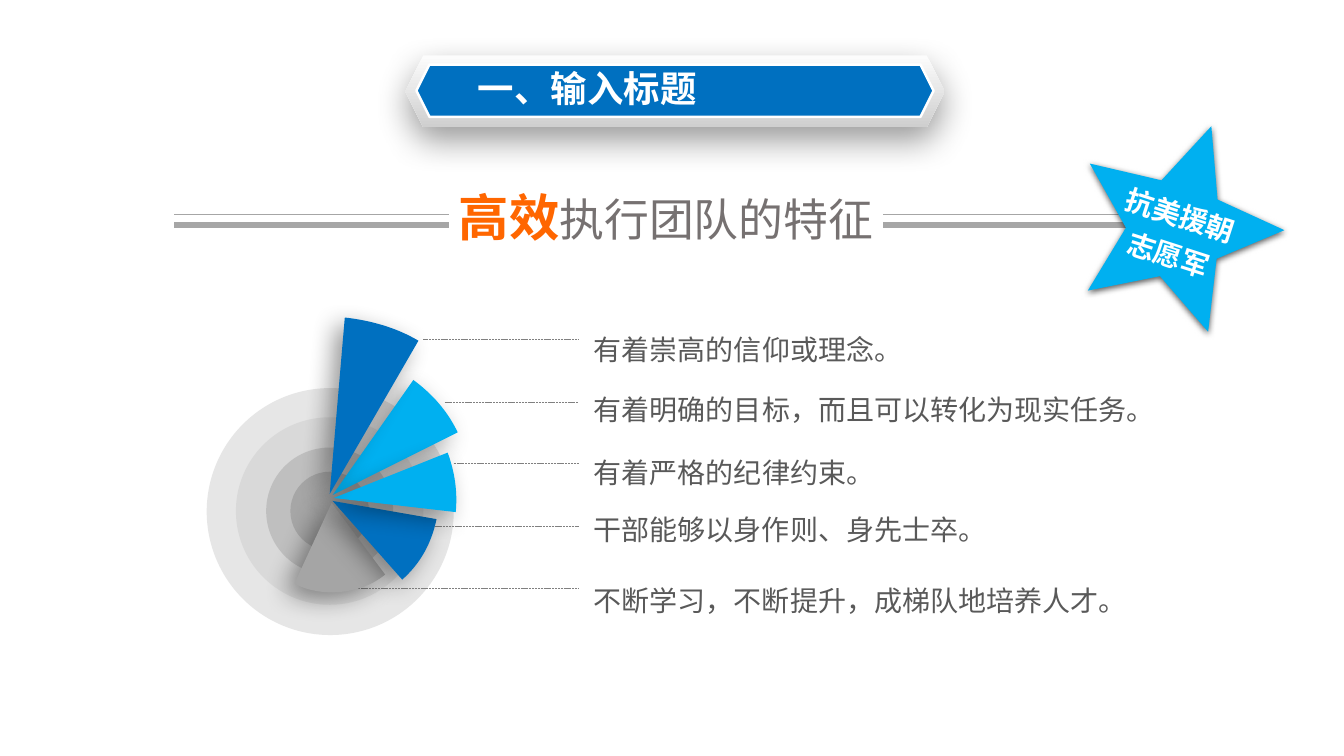
from lxml import etree
from pptx import Presentation
from pptx.dml.color import RGBColor
from pptx.enum.dml import MSO_LINE
from pptx.enum.shapes import MSO_CONNECTOR, MSO_SHAPE
from pptx.enum.text import MSO_ANCHOR, MSO_AUTO_SIZE, PP_ALIGN
from pptx.oxml.ns import qn
from pptx.util import Pt

PX = 9144  # 100 px to the inch
FONT = "Noto Sans CJK SC"
LEFT, CENTER = PP_ALIGN.LEFT, PP_ALIGN.CENTER
STRAIGHT = MSO_CONNECTOR.STRAIGHT
DASH = MSO_LINE.SQUARE_DOT
C = {k: RGBColor.from_string(v) for k, v in {
    "white": "FFFFFF", "blue": "0070C0", "sky": "00B0F0", "orange": "FF6600",
    "heading": "767171", "body": "595959", "rule": "A6A6A6", "leader": "808080",
    "wedge_gray": "A5A5A5", "ring1": "E6E6E6", "ring2": "D9D9D9", "ring3": "BFBFBF",
    "ring4": "A6A6A6", "bezel_top": "FCFCFC", "bezel_end": "CFCFCF"}.items()}


def write(box, runs, spacing=1.0, align=LEFT):
    """Fill a box with one line made of (text, size, colour, bold) runs."""
    tf = box.text_frame
    tf.word_wrap = False
    tf.auto_size = MSO_AUTO_SIZE.NONE
    tf.vertical_anchor = MSO_ANCHOR.TOP
    p = tf.paragraphs[0]
    p.alignment = align
    p.line_spacing = spacing
    for text, size, color, bold in runs:
        r = p.add_run()
        r.text = text
        r.font.size = Pt(size)
        r.font.bold = bold
        r.font.color.rgb = C[color]
        r.font.name = FONT
        etree.SubElement(r.font._element, qn("a:ea"), typeface=FONT)


def finish(shape, color=None, shadow=None):
    """Set a plain fill, no outline, and a shadow of (opacity, blur, distance, angle)."""
    if color:
        shape.fill.solid()
        shape.fill.fore_color.rgb = C[color]
    shape.line.fill.background()
    shape.shadow.inherit = False
    if shadow:
        opacity, blur, distance, angle = shadow
        effects = shape._element.spPr.find(qn("a:effectLst"))
        outer = etree.SubElement(effects, qn("a:outerShdw"), blurRad=str(Pt(blur)),
                                 dist=str(Pt(distance)), dir=str(angle * 60000),
                                 algn="ctr", rotWithShape="0")
        black = etree.SubElement(outer, qn("a:srgbClr"), val="000000")
        etree.SubElement(black, qn("a:alpha"), val=str(opacity * 1000))


prs = Presentation()
prs.slide_width, prs.slide_height = 1333 * PX, 750 * PX
s = prs.slides.add_slide(prs.slide_layouts[5])
sp_tree = s.shapes

# Heading between two double rules
lines = [(x, y, x + 272, "rule", width, None)
         for x in (173, 876) for y, width in ((223, 4), (213, 1))]
# Dotted leaders from the wedges to the five traits
lines += [(x, round(337 + 61.75 * i), 574, "leader", 0.5, DASH)
          for i, x in enumerate((420, 441, 450, 431, 352))]

# Concentric rings
for i, d in enumerate((245, 186, 126, 78), 1):
    ring = sp_tree.add_shape(MSO_SHAPE.OVAL, (327 - d // 2) * PX, (507 - d // 2) * PX,
                             d * PX, d * PX)
    finish(ring, f"ring{i}")

for x1, y, x2, color, width, dash in lines:
    line = sp_tree.add_connector(STRAIGHT, x1 * PX, y * PX, x2 * PX, y * PX)
    line.line.color.rgb = C[color]
    line.line.width = Pt(width)
    if dash:
        line.line.dash_style = dash
    etree.SubElement(line._element.spPr, qn("a:effectLst"))

heading = sp_tree.add_textbox(445 * PX, 187 * PX, 435 * PX, 65 * PX)
write(heading, [("高效", 36, "orange", True), ("执行团队的特征", 32, "heading", False)], 0.9)

# Fan: colour, apex, then the four Bézier points of the outer arc
wedges = [
    ("sky", (330, 491), ((410, 377), (429, 391), (444, 408), (454, 429))),
    ("wedge_gray", (329, 499), ((382, 570), (358, 590), (318, 593), (292, 579))),
    ("blue", (330, 497), ((433, 515), (428, 539), (417, 559), (399, 575))),
    ("sky", (331, 494), ((444, 449), (451, 468), (454, 488), (452, 508))),
    ("blue", (327, 490), ((342, 315), (368, 318), (393, 325), (415, 338))),
]
STEPS = 16
for color, (ax, ay), arc in wedges:
    points = []
    for i in range(STEPS + 1):
        t = i / STEPS
        weights = ((1 - t) ** 3, 3 * t * (1 - t) ** 2, 3 * t * t * (1 - t), t ** 3)
        points.append(tuple(round(PX * sum(w * pt[axis] for w, pt in zip(weights, arc)))
                            for axis in (0, 1)))
    outline = sp_tree.build_freeform(ax * PX, ay * PX)
    outline.add_line_segments(points, close=True)
    finish(outline.convert_to_shape(), color, (40, 18, 8, 140))

traits = [
    (293, 329, "有着崇高的信仰或理念。"),
    (353, 581, "有着明确的目标，而且可以转化为现实任务。"),
    (415, 301, "有着严格的纪律约束。"),
    (472, 413, "干部能够以身作则、身先士卒。"),
    (542, 606, "不断学习，不断提升，成梯队地培养人才。"),
]
for y, w, text in traits:
    trait = sp_tree.add_textbox(579 * PX, y * PX, w * PX, 66 * PX)
    write(trait, [(text, 20, "body", False)], Pt(47))

# Star badge
star = sp_tree.add_shape(MSO_SHAPE.STAR_5_POINT, 1068 * PX, 120 * PX, 204 * PX, 194 * PX)
star.adjustments[0] = 0.233
star.rotation = 18.9
finish(star, "sky", (63, 4.5, 1.5, 90))
for x, y, w, text in ((1105, 192, 132, "抗美援朝"), (1107, 231, 104, "志愿军")):
    label = sp_tree.add_textbox(x * PX, y * PX, w * PX, 44 * PX)
    label.rotation = 18
    write(label, [(text, 20, "white", True)], align=CENTER)

# Title banner
bezel = sp_tree.add_shape(MSO_SHAPE.HEXAGON, 402 * PX, 55 * PX, 535 * PX, 71 * PX)
bezel.fill.gradient()
bezel.fill.gradient_angle = 270
for stop, color in zip(bezel.fill.gradient_stops, ("bezel_top", "bezel_end")):
    stop.color.rgb = C[color]
finish(bezel, shadow=(40, 25, 9, 90))
plate = sp_tree.add_shape(MSO_SHAPE.HEXAGON, 413 * PX, 64 * PX, 513 * PX, 52 * PX)
finish(plate, "blue")
plate.line.color.rgb = C["white"]
plate.line.width = Pt(1.75)

title = sp_tree.title
title.left, title.top, title.width, title.height = 464 * PX, 61 * PX, 239 * PX, 98 * PX
write(title, [("一、输入标题", 26, "white", True)])
sp_tree._spTree.append(title._element)  # bring in front of the banner

prs.save("out.pptx")
